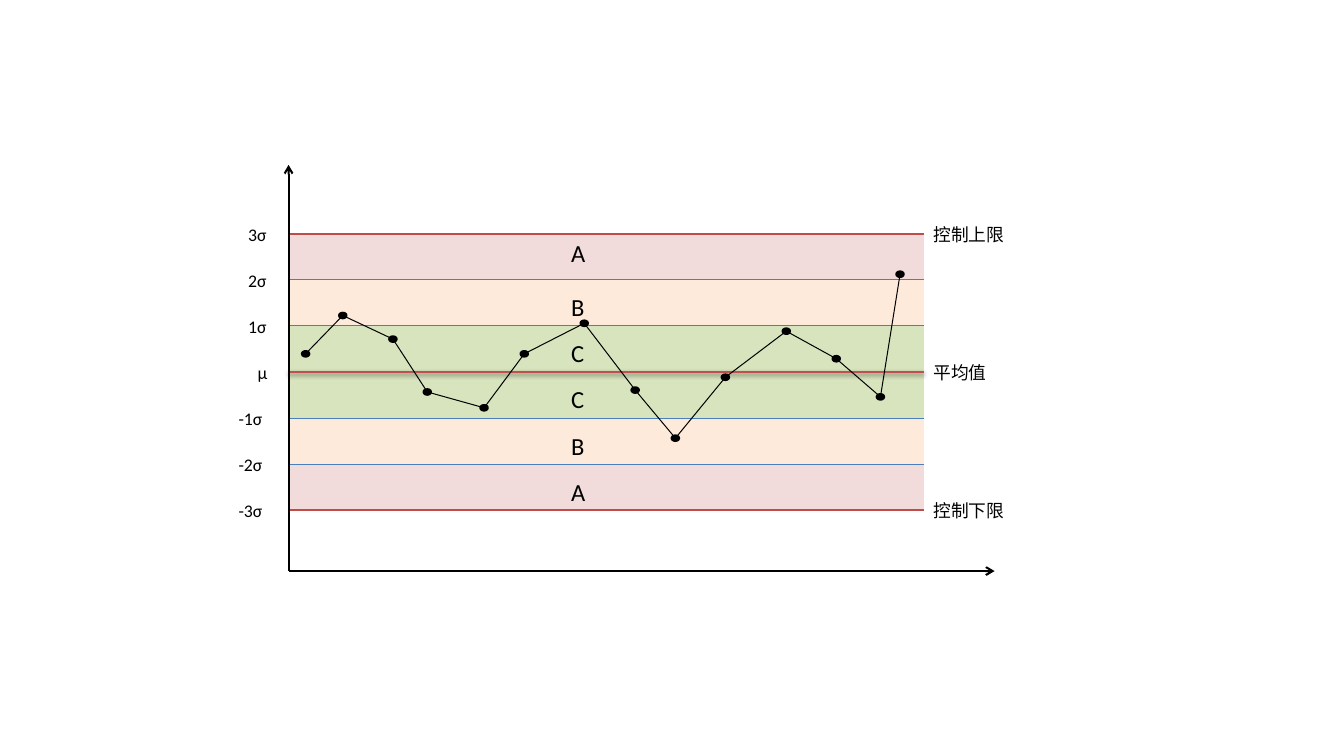
"""Build a control chart slide with sigma zones, limits and a run of samples."""
from itertools import pairwise

from lxml.etree import SubElement
from pptx import Presentation
from pptx.dml.color import RGBColor
from pptx.enum.shapes import MSO_CONNECTOR as CONN, MSO_SHAPE as SHAPE
from pptx.enum.text import MSO_AUTO_SIZE as AUTO
from pptx.oxml.ns import qn
from pptx.util import Pt

LEFT, RIGHT, TOP, BAND = 211.8, 678, 171.4, 33.84
AXIS_BOTTOM, AXIS_TOP, AXIS_RIGHT = 419, 121, 730
BLACK, LIMIT, MEAN, SIGMA = "000000", "BF4C48", "C0504D", "4B7EBC"
LATIN, CJK = "Calibri", "Noto Sans CJK SC"
ZONE_FILLS = {"A": "F2DCDB", "B": "FDEADA", "C": "D7E4BD"}
LEVELS = [
    ("3σ", 175, LIMIT, 1.5, "控制上限"),
    ("2σ", 175, SIGMA, 0.75, ""),
    ("1σ", 175, SIGMA, 0.75, ""),
    ("μ", 182, MEAN, 2, "平均值"),
    ("-1σ", 168, SIGMA, 0.75, ""),
    ("-2σ", 168, SIGMA, 0.75, ""),
    ("-3σ", 168, LIMIT, 1.5, "控制下限"),
]
SAMPLES = [
    (224.3, 259.6), (251.6, 231.5), (288.4, 248.8), (313.6, 287.6),
    (355.3, 299.2), (384.8, 259.6), (428.8, 237.2), (466.2, 286.2),
    (495.7, 321.5), (532.4, 276.8), (577.1, 243), (613.8, 263.2),
    (646.2, 291.2), (660.6, 201.2),
]


def rgb(color):
    """Return the colour of a hex string."""
    return RGBColor.from_string(color)


def add_shape(s, kind, x, y, w, h, fill, line_width=0):
    """Add a filled shape, outlined in its own colour if a width is given."""
    sp = s.shapes.add_shape(kind, Pt(x), Pt(y), Pt(w), Pt(h))
    sp.shadow.inherit = False
    sp.fill.solid()
    sp.fill.fore_color.rgb = rgb(fill)
    if line_width:
        sp.line.color.rgb = rgb(fill)
        sp.line.width = Pt(line_width)
    else:
        sp.line.fill.background()


def add_line(s, start, end, color, width, arrow=False, shadow=False):
    """Add a straight line with an optional arrowhead and soft shadow."""
    cn = s.shapes.add_connector(CONN.STRAIGHT, *map(Pt, start + end))
    cn.line.color.rgb = rgb(color)
    cn.line.width = Pt(width)
    if arrow:
        SubElement(cn.line._get_or_add_ln(), qn("a:tailEnd"), type="arrow")
    effects = SubElement(cn._element.spPr, qn("a:effectLst"))
    if shadow:
        outer = SubElement(effects, qn("a:outerShdw"), blurRad=str(Pt(3.1)),
                           dist=str(Pt(1.6)), dir="5400000", rotWithShape="0")
        shade = SubElement(outer, qn("a:srgbClr"), val=BLACK)
        SubElement(shade, qn("a:alpha"), val="38000")


def add_text(s, text, x, y, w, h, size, font=LATIN):
    """Add a one-line label."""
    tb = s.shapes.add_textbox(Pt(x), Pt(y), Pt(w), Pt(h))
    tf = tb.text_frame
    tf.word_wrap = True
    tf.auto_size = AUTO.SHAPE_TO_FIT_TEXT
    p = tf.paragraphs[0]
    p.text = text
    p.font.size = Pt(size)
    p.font.color.rgb = rgb(BLACK)
    p.font.name = font
    SubElement(p._p.pPr.find(qn("a:defRPr")), qn("a:ea"), typeface=font)


def add_zones(s):
    """Add the six coloured bands."""
    for i, zone in enumerate("ABCCBA"):
        add_shape(s, SHAPE.RECTANGLE, LEFT, TOP + i * BAND, RIGHT - LEFT, BAND,
                  ZONE_FILLS[zone])


def add_levels(s):
    """Add the sigma lines with the labels at both ends."""
    for i, (sigma, x, color, width, limit) in enumerate(LEVELS):
        y = TOP + i * BAND
        add_line(s, (RIGHT, y), (LEFT, y), color, width, shadow=color == MEAN)
        add_text(s, sigma, x, y - 11, 44, 23, 13)
        if limit:
            add_text(s, limit, RIGHT, y - 11, 141, 23, 13, CJK)


def add_zone_names(s):
    """Name each band, with the first name set higher."""
    for i, zone in enumerate("ABCCBA"):
        drop = 5.6 if i else 0
        add_text(s, zone, 412, TOP + i * BAND + drop, 44.6, 29, 18)


def add_axes(s):
    """Add the two arrowed axes."""
    origin = (LEFT, AXIS_BOTTOM)
    for end in ((LEFT, AXIS_TOP), (AXIS_RIGHT, AXIS_BOTTOM)):
        add_line(s, origin, end, BLACK, 1.5, arrow=True)


def add_samples(s):
    """Add the sample dots and link each to the next."""
    w, h = 5, 3.6
    for x, y in SAMPLES:
        add_shape(s, SHAPE.OVAL, x - w / 2, y - h / 2, w, h, BLACK, 2)
    for start, end in pairwise(SAMPLES):
        add_line(s, start, end, BLACK, 0.75)


def main():
    """Build and save the slide."""
    prs = Presentation()
    prs.slide_width, prs.slide_height = Pt(986.4), Pt(540)
    s = prs.slides.add_slide(prs.slide_layouts[6])
    add_zones(s)
    add_levels(s)
    add_axes(s)
    add_zone_names(s)
    add_samples(s)
    prs.save("out.pptx")


if __name__ == "__main__":
    main()
